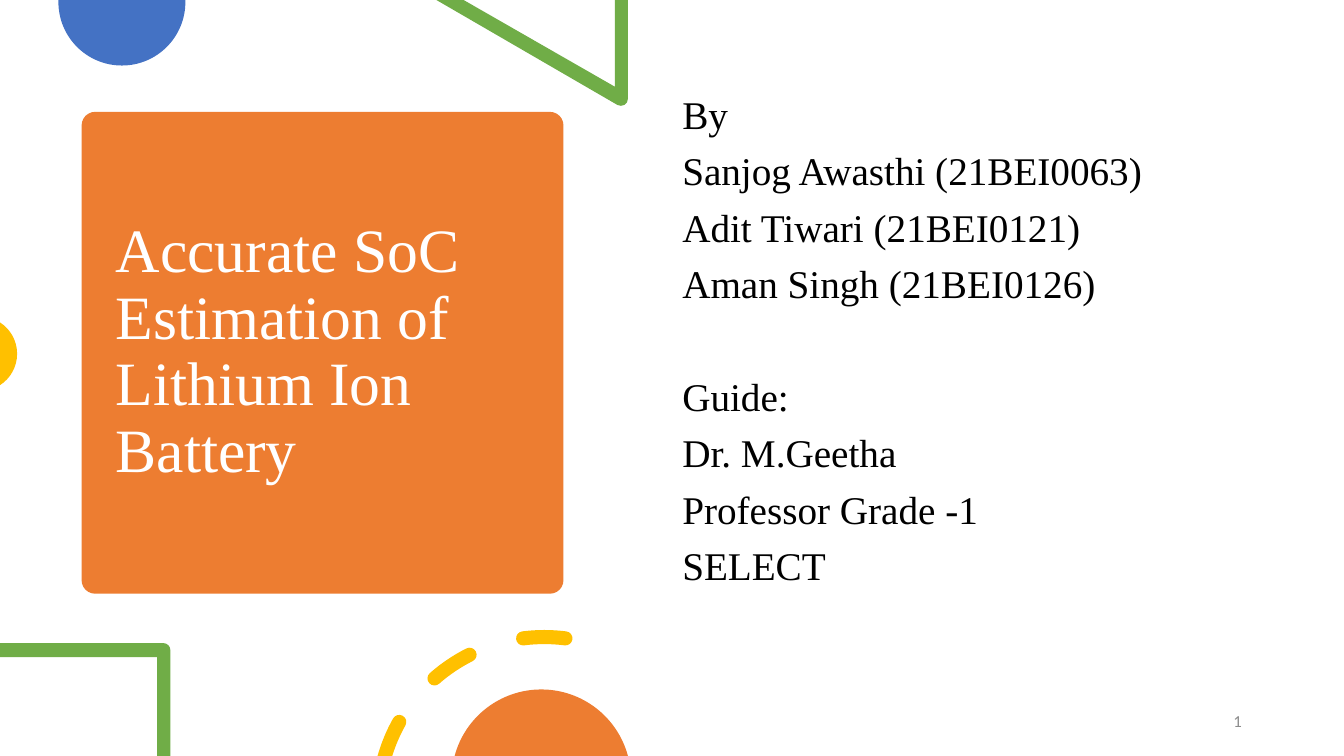
import math

import pptx
import pptx.dml.color
import pptx.enum.shapes
import pptx.enum.text
import pptx.oxml.ns
import pptx.oxml.xmlchemy
import pptx.util
from pptx.util import Inches, Pt

BLUE, GREEN, YELLOW, ORANGE = "4472C4", "70AD47", "FFC000", "ED7D31"
SERIF = "Times New Roman"
rgb = pptx.dml.color.RGBColor.from_string

deck = pptx.Presentation()
deck.slide_width, deck.slide_height = Inches(40 / 3), Inches(7.5)
slide = deck.slides.add_slide(deck.slide_layouts[6])


def arc(x, y, radius, start, end):
    """Start point, then one Bezier (three points) per quarter turn at most.

    Degrees run clockwise from three o'clock.
    """
    count = math.ceil(abs(end - start) / 90)
    turn = math.radians(end - start) / count
    reach = 4 / 3 * math.tan(turn / 4)
    angles = [math.radians(start) + turn * i for i in range(count + 1)]
    spots = [(x + radius * math.cos(a), y + radius * math.sin(a)) for a in angles]
    curves = [((ax - reach * (ay - y), ay + reach * (ax - x)),
               (bx + reach * (by - y), by - reach * (bx - x)), (bx, by))
              for (ax, ay), (bx, by) in zip(spots, spots[1:])]
    return [spots[0], *curves]


def text_box(left, top, width, height, lines, size, font, color):
    frame = slide.shapes.add_textbox(
        Inches(left), Inches(top), Inches(width), Inches(height)).text_frame
    frame.word_wrap = True
    frame.text = "\n".join(lines)
    for paragraph in frame.paragraphs:
        paragraph.font.size = Pt(size)
        paragraph.font.name = font
        paragraph.font.color.rgb = rgb(color)
    return frame


# Title card
card = slide.shapes.add_shape(
    pptx.enum.shapes.MSO_SHAPE.ROUNDED_RECTANGLE,
    Inches(0.81), Inches(1.11), Inches(4.78), Inches(4.78))
card.adjustments[0] = 0.028
card.shadow.inherit = False
card.fill.solid()
card.fill.fore_color.rgb = rgb(ORANGE)
card.line.fill.background()

title = text_box(1.05, 1.22, 4.31, 4.56,
                 ["Accurate SoC Estimation of Lithium Ion Battery"], 44, SERIF, "FFFFFF")
title.vertical_anchor = pptx.enum.text.MSO_ANCHOR.MIDDLE
title.paragraphs[0].line_spacing = 0.9

# Dashed ring: rounded dashes at equal angles, the last cut by the slide edge
ring_x, ring_y, ring_radius, half_width = 5.4, 7.97, 1.65, 0.07
dashes = []
for i in range(3):
    middle = -90 - 34 * i
    start, end = middle - 7.3, middle + 7.3
    outer_start, inner_start = (-164.1, -162.7) if i == 2 else (start, start)
    tip, tail = (arc(ring_x, ring_y, ring_radius, a, a + 1)[0] for a in (end, start))
    dash = arc(ring_x, ring_y, ring_radius + half_width, outer_start, end)
    dash += arc(*tip, half_width, end, end + 180)[1:]
    dash += arc(ring_x, ring_y, ring_radius - half_width, end, inner_start)[1:]
    if i < 2:
        dash += arc(*tail, half_width, start + 180, start + 360)[1:]
    dashes.append(dash)

# Decorations along the slide edges: colour and closed outlines
decorations = [
    (BLUE, [[(1.84, 0), (0.58, 0), *arc(1.21, 0.02, 0.63, 180, 0)]]),
    (GREEN, [[(6.23, 0), (6.1, 0), (6.1, 0.86), (4.6, 0), (4.33, 0),
              *arc(6.16, 0.98, 0.07, 120, 0)]]),
    (YELLOW, [arc(-0.2, 3.51, 0.37, -57.3, 57.3)]),
    (GREEN, [[(0, 6.38), (0, 6.52), (1.56, 6.52), (1.56, 7.5), (1.69, 7.5),
              *arc(1.62, 6.45, 0.07, 0, -90)]]),
    (YELLOW, dashes),
    (ORANGE, [arc(5.37, 7.73, 0.89, -165, -15)]),
]
for color, outlines in decorations:
    builder = None
    steps = []
    for first, *rest in outlines:
        start = Inches(first[0]), Inches(first[1])
        if builder is None:
            builder = slide.shapes.build_freeform(*start)
        else:
            builder.move_to(*start)
        rest = [step if len(step) == 3 else (step,) for step in rest]
        builder.add_line_segments(
            [(Inches(x), Inches(y)) for step in rest for x, y in step], close=True)
        steps += rest
    decoration = builder.convert_to_shape()
    decoration.shadow.inherit = False
    decoration.fill.solid()
    decoration.fill.fore_color.rgb = rgb(color)
    decoration.line.fill.background()

    # Join the three points of each Bezier into one curve
    segments = iter(list(decoration.element.iter(pptx.oxml.ns.qn("a:lnTo"))))
    for step in steps:
        parts = [next(segments) for _ in step]
        if len(parts) == 3:
            curve = pptx.oxml.xmlchemy.OxmlElement("a:cubicBezTo")
            parts[0].addprevious(curve)
            for part in parts:
                curve.append(part[0])
                part.getparent().remove(part)

# Authors and guide
authors = ["By", "Sanjog Awasthi (21BEI0063)", "Adit Tiwari (21BEI0121)",
           "Aman Singh (21BEI0126)"]
guide = ["Guide:", "Dr. M.Geetha", "Professor Grade -1", "SELECT"]
credits = text_box(6.67, 0.9, 5.75, 5.35, authors + guide, 28, SERIF, "000000")
for i, paragraph in enumerate(credits.paragraphs):
    paragraph.line_spacing = 0.9
    if i:
        paragraph.space_before = Pt(50.4 if i == len(authors) else 10)

# Slide number
number = text_box(11.49, 6.95, 0.93, 0.4, ["1"], 12, "Calibri", "8C8C8C")
number.vertical_anchor = pptx.enum.text.MSO_ANCHOR.MIDDLE
number.paragraphs[0].alignment = pptx.enum.text.PP_ALIGN.RIGHT
number.paragraphs[0].space_after = Pt(6)

deck.save("out.pptx")
